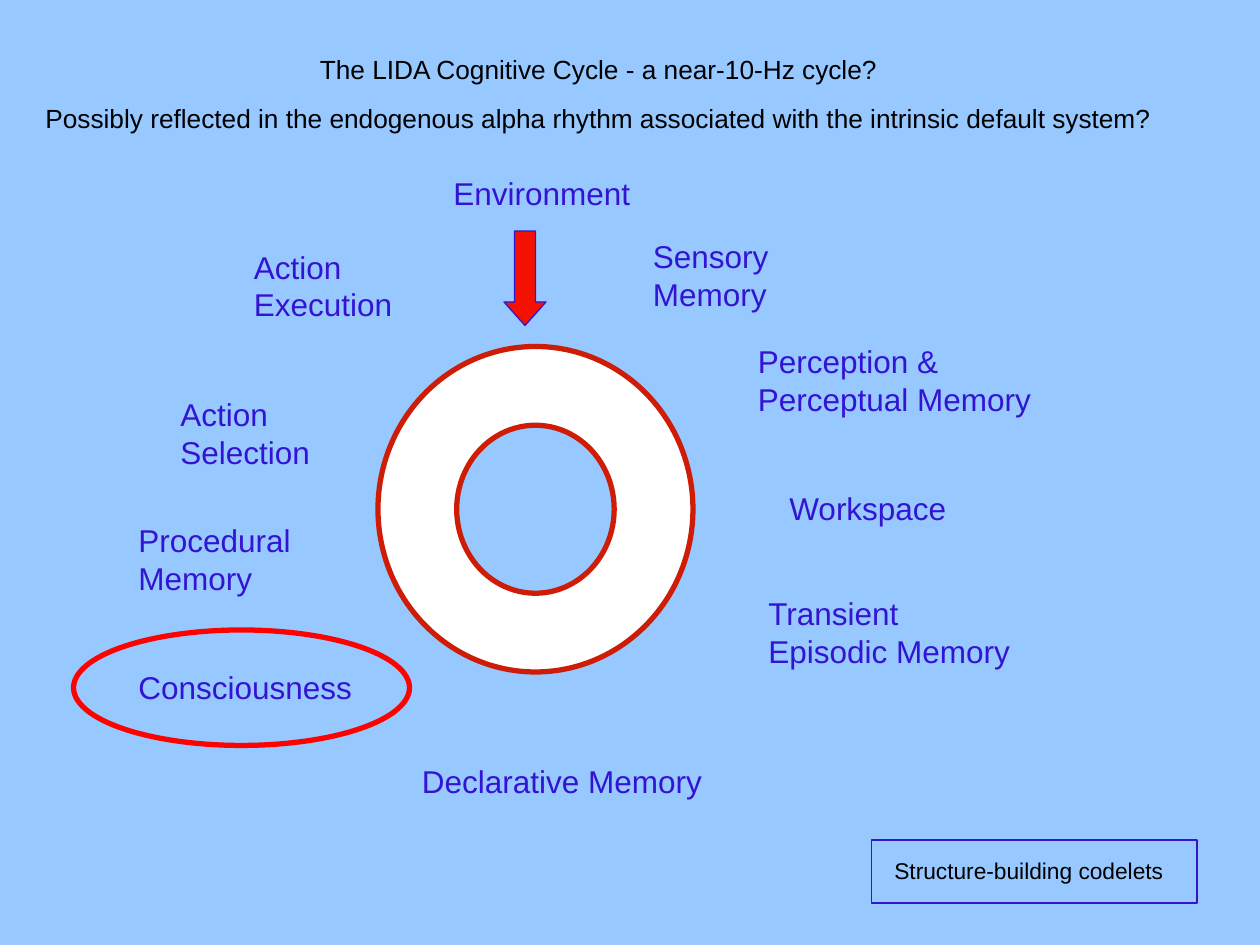
from pptx import Presentation
from pptx.dml.color import RGBColor as RGB
from pptx.enum.shapes import MSO_SHAPE as Shape
from pptx.enum.text import PP_ALIGN as Align
from pptx.util import Inches, Pt


class Theme:
    font = "Arial"
    sky, white, black = "97C8FF", "FFFFFF", "000000"
    indigo, ring, arrow, highlight = "3414D3", "CE1C06", "F41101", "FF0200"
    title_size, stage_size, note_size = 15, 18, 13
    thin, thick = 0.75, 3


prs = Presentation()
prs.slide_width, prs.slide_height = Inches(10), Inches(7.5)
slide = prs.slides.add_slide(prs.slide_layouts[6])
slide.background.fill.solid()
slide.background.fill.fore_color.rgb = RGB.from_string(Theme.sky)

# The slide is a grid of 120 columns by 90 rows.
CELL = prs.slide_width / 120


def add_figure(kind, cells, fill, line, weight):
    figure = slide.shapes.add_shape(kind, *(round(n * CELL) for n in cells))
    figure.shadow.inherit = False
    if fill:
        figure.fill.solid()
        figure.fill.fore_color.rgb = RGB.from_string(fill)
    else:
        figure.fill.background()
    figure.line.color.rgb = RGB.from_string(line)
    figure.line.width = Pt(weight)
    return figure


def add_label(text, cells, size, color, align=Align.LEFT):
    frame = slide.shapes.add_textbox(*(round(n * CELL) for n in cells)).text_frame
    frame.word_wrap = True
    frame.text = text
    for paragraph in frame.paragraphs:
        paragraph.alignment = align
        for run in paragraph.runs:
            run.font.name = Theme.font
            run.font.size = Pt(size)
            run.font.color.rgb = RGB.from_string(color)
    return frame


add_figure(Shape.RECTANGLE, (83, 80, 31, 6), Theme.sky, Theme.indigo, Theme.thin)

title = add_label(
    "The LIDA Cognitive Cycle - a near-10-Hz cycle?\n"
    "Possibly reflected in the endogenous alpha rhythm associated with "
    "the intrinsic default system?",
    (2.5, 4.5, 109, 9), Theme.title_size, Theme.black, Align.CENTER)
title.paragraphs[1].space_before = Pt(10)

input_arrow = add_figure(Shape.DOWN_ARROW, (48, 22, 4, 9),
                         Theme.arrow, Theme.indigo, Theme.thin)
input_arrow.adjustments[1] = 0.56

# Stages clockwise from the top: text, column, row, columns wide, rows high
stages = [
    ("Environment", 42, 16, 20, 5),
    ("Sensory Memory", 61, 22, 25, 5),
    ("Perception & Perceptual Memory", 71, 32, 34, 8.5),
    ("Workspace", 74, 46, 34, 5),
    ("Transient\nEpisodic Memory", 72, 56, 45, 8.5),
    ("Declarative Memory", 39, 72, 30, 5),
    ("Consciousness", 12, 63, 23, 5),
    ("Procedural Memory", 12, 49, 18, 8.5),
    ("Action Selection", 16, 37, 18, 8.5),
    ("Action Execution", 23, 23, 18, 8.5),
]
for stage, *cells in stages:
    add_label(stage, cells, Theme.stage_size, Theme.indigo)

add_label("Structure-building codelets", (84, 81, 29, 4),
          Theme.note_size, Theme.black)

add_figure(Shape.DONUT, (36, 33, 30, 31), Theme.white, Theme.ring, Theme.thick)
add_figure(Shape.OVAL, (7, 60, 32, 11), None, Theme.highlight, Theme.thick)

prs.save("out.pptx")
